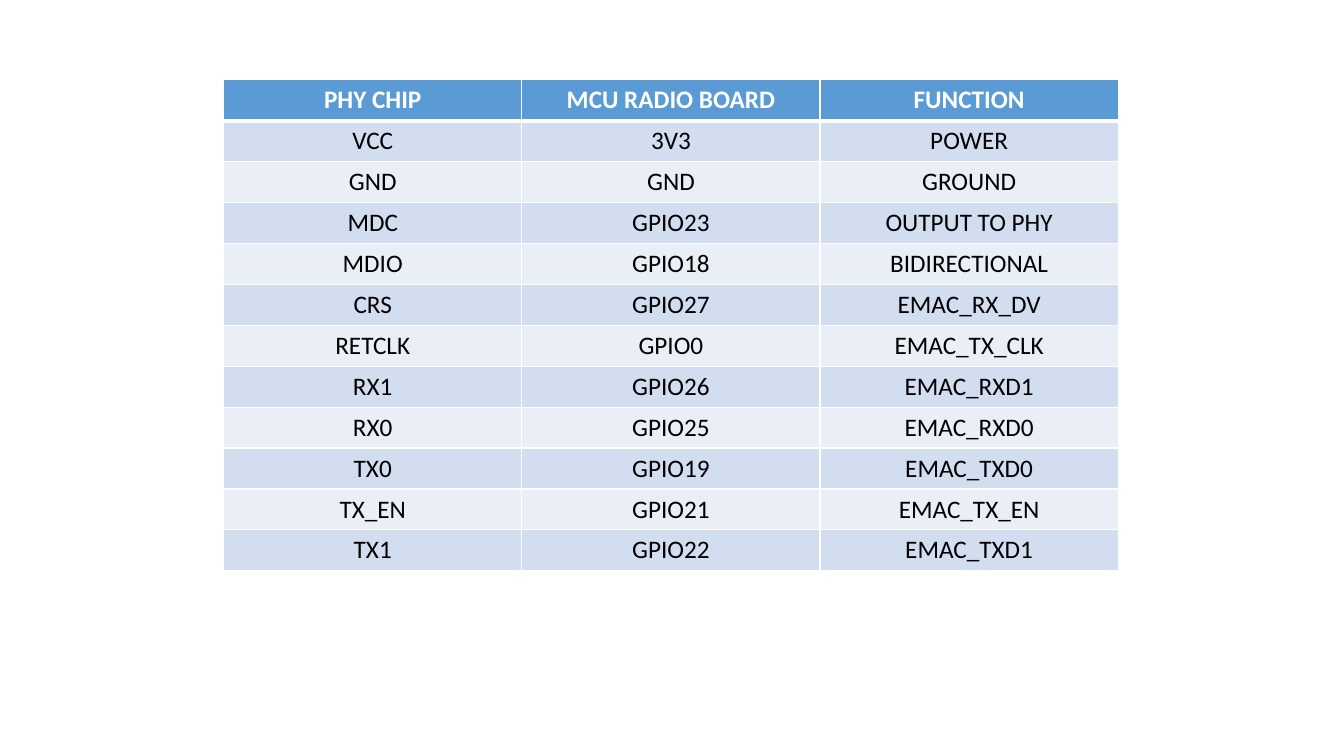
"""Build a slide with the pin wiring table of an Ethernet PHY and a radio module."""
from dataclasses import astuple, dataclass

from lxml import etree
from pptx import Presentation
from pptx import util as u
from pptx.dml.color import RGBColor
from pptx.enum import text
from pptx.oxml.ns import qn
from pptx.table import _Cell

PX = 9525
SLIDE_WIDTH, SLIDE_HEIGHT = 1280, 720
TABLE_LEFT, TABLE_TOP = 213, 76
COLUMN_WIDTH, ROW_HEIGHT = 284, 39
THIN, THICK = 1, 3

WHITE = RGBColor(0xFF, 0xFF, 0xFF)
BLACK = RGBColor(0x00, 0x00, 0x00)
HEADER_BLUE = RGBColor(0x5B, 0x9B, 0xD5)
BAND_BLUE = RGBColor(0xD2, 0xDE, 0xEF)
BAND_PALE = RGBColor(0xEA, 0xEF, 0xF7)


@dataclass(frozen=True)
class Wire:
    """One table row: PHY pin, module pin and function."""

    phy: str
    module: str
    function: str


WIRES = [
    Wire("PHY CHIP", "MCU RADIO BOARD", "FUNCTION"),
    Wire("VCC", "3V3", "POWER"),
    Wire("GND", "GND", "GROUND"),
    Wire("MDC", "GPIO23", "OUTPUT TO PHY"),
    Wire("MDIO", "GPIO18", "BIDIRECTIONAL"),
    Wire("CRS", "GPIO27", "EMAC_RX_DV"),
    Wire("RETCLK", "GPIO0", "EMAC_TX_CLK"),
    Wire("RX1", "GPIO26", "EMAC_RXD1"),
    Wire("RX0", "GPIO25", "EMAC_RXD0"),
    Wire("TX0", "GPIO19", "EMAC_TXD0"),
    Wire("TX_EN", "GPIO21", "EMAC_TX_EN"),
    Wire("TX1", "GPIO22", "EMAC_TXD1"),
]


def px(length: int) -> u.Emu:
    """Turn px into EMU."""
    return u.Emu(length * PX)


def set_borders(cell: _Cell, top: int, bottom: int) -> None:
    """Draw white borders, with the top and bottom widths in points."""
    properties = cell._tc.get_or_add_tcPr()
    for side, width in (("L", THIN), ("R", THIN), ("T", top), ("B", bottom)):
        line = etree.SubElement(properties, qn(f"a:ln{side}"), w=str(u.Pt(width)))
        fill = etree.SubElement(line, qn("a:solidFill"))
        etree.SubElement(fill, qn("a:srgbClr"), val=str(WHITE))


def fill_cell(cell: _Cell, label: str, row: int) -> None:
    """Write and style one cell according to its row."""
    header = row == 0
    set_borders(cell, THICK if row == 1 else THIN, THICK if header else THIN)
    cell.fill.solid()
    band = BAND_BLUE if row % 2 else BAND_PALE
    cell.fill.fore_color.rgb = HEADER_BLUE if header else band
    cell.text = label
    para = cell.text_frame.paragraphs[0]
    para.alignment = text.PP_ALIGN.CENTER
    para.font.name = "Calibri"
    para.font.size = u.Pt(18)
    para.font.bold = header
    para.font.color.rgb = WHITE if header else BLACK


def main() -> None:
    """Create the deck and save it."""
    deck = Presentation()
    deck.slide_width, deck.slide_height = px(SLIDE_WIDTH), px(SLIDE_HEIGHT)
    page = deck.slides.add_slide(deck.slide_layouts[6])
    columns = len(astuple(WIRES[0]))
    table = page.shapes.add_table(
        len(WIRES), columns, px(TABLE_LEFT), px(TABLE_TOP),
        px(columns * COLUMN_WIDTH), px(len(WIRES) * ROW_HEIGHT),
    ).table
    for row, wire in enumerate(WIRES):
        for column, label in enumerate(astuple(wire)):
            fill_cell(table.cell(row, column), label, row)
    deck.save("out.pptx")


if __name__ == "__main__":
    main()
